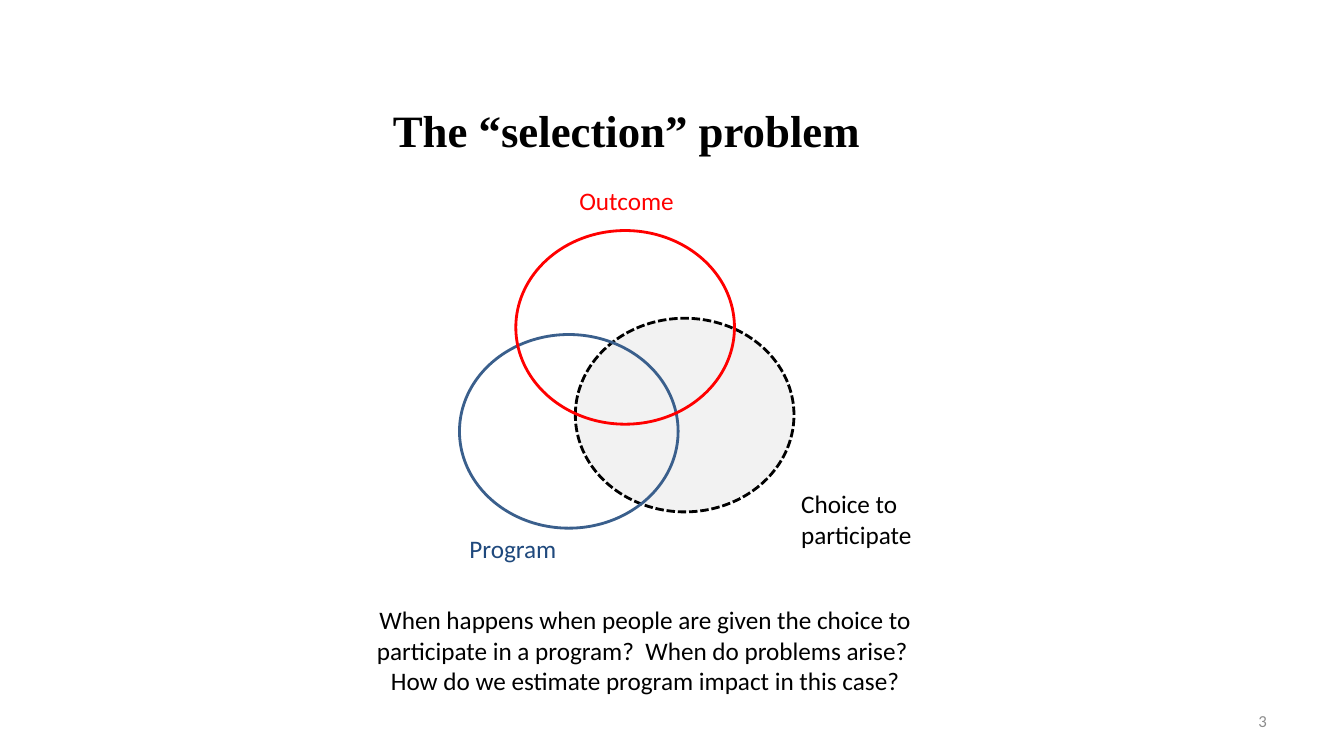
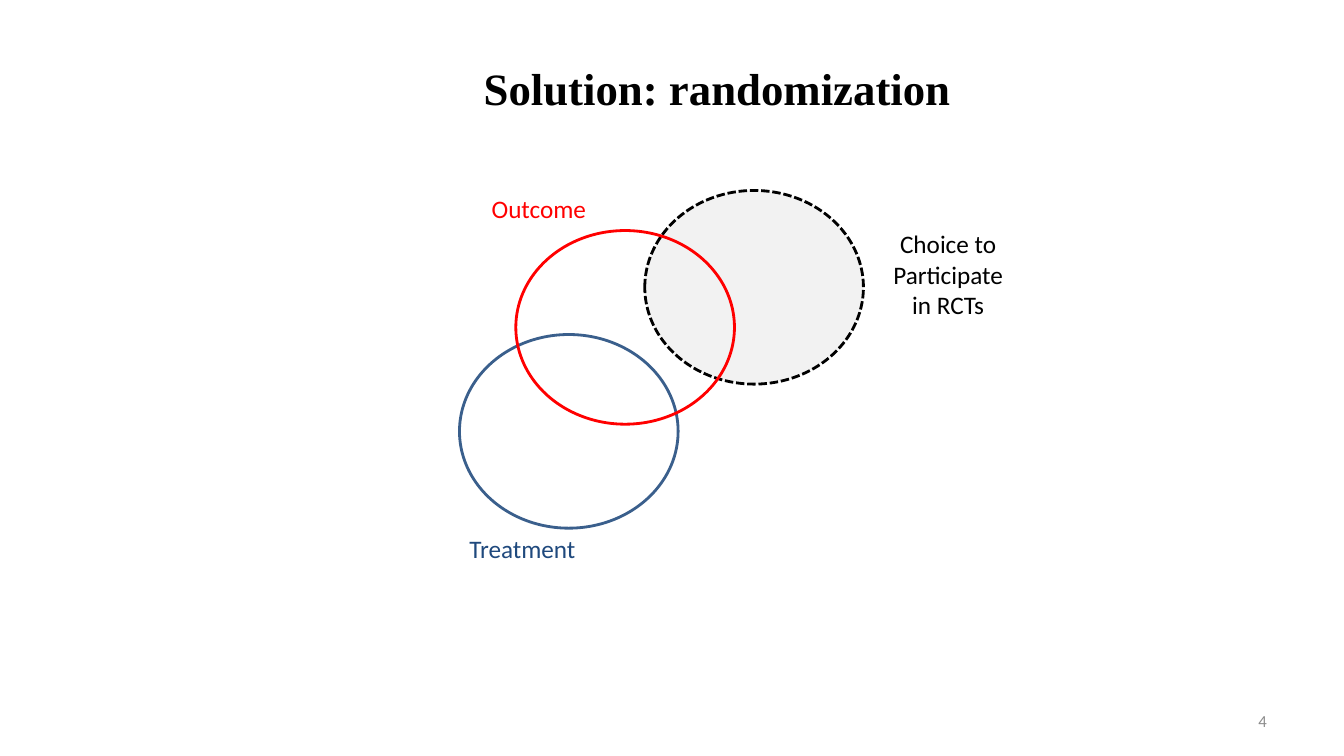
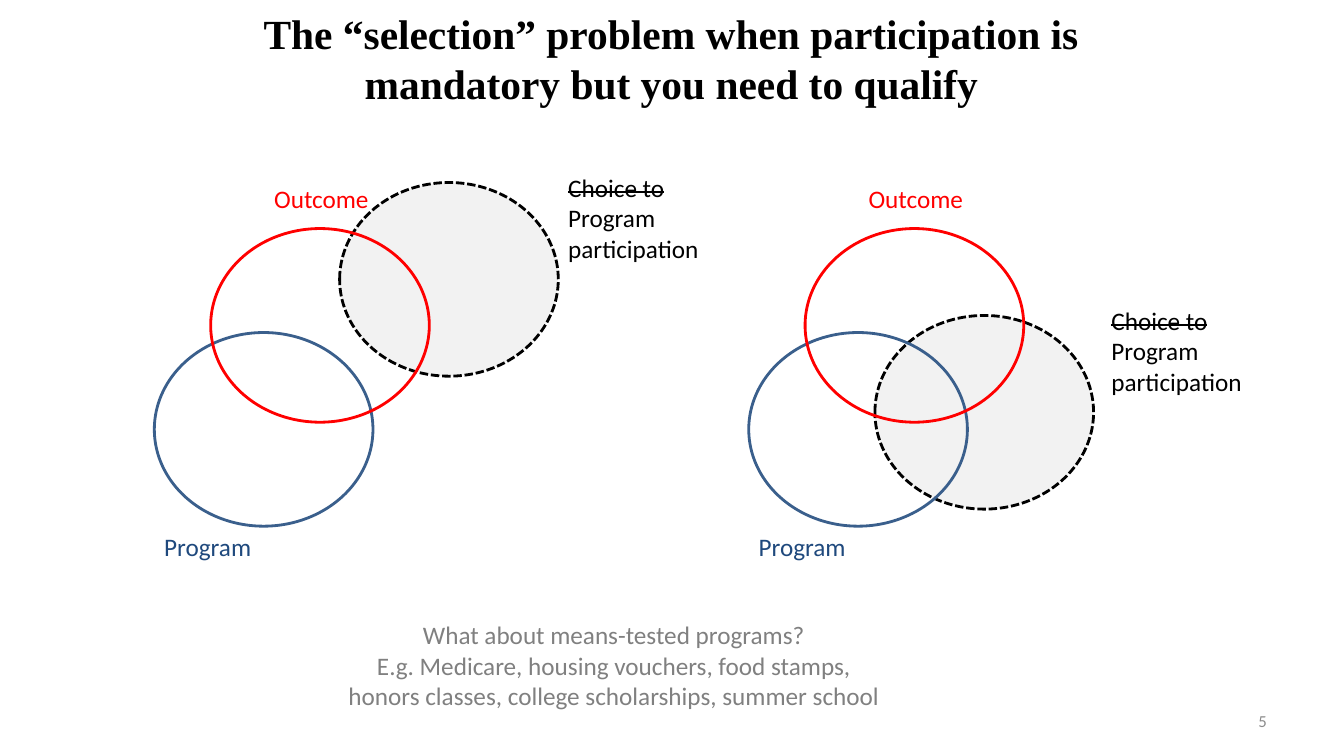
from pptx import Presentation
from pptx.dml.color import RGBColor
from pptx.enum.dml import MSO_LINE
from pptx.enum.shapes import MSO_SHAPE
from pptx.enum.text import MSO_ANCHOR, MSO_AUTO_SIZE, PP_ALIGN
from pptx.util import Cm, Pt

BLACK = RGBColor(0x00, 0x00, 0x00)
RED = RGBColor(0xFF, 0x00, 0x00)
NAVY = RGBColor(0x1F, 0x49, 0x7D)
BLUE = RGBColor(0x3A, 0x5F, 0x8C)
PALE = RGBColor(0xF2, 0xF2, 0xF2)
GRAY = RGBColor(0x80, 0x80, 0x80)
NUMBER_GRAY = RGBColor(0x8C, 0x8C, 0x8C)

BODY_FONT = "Calibri"
TITLE_FONT = "Times New Roman"
CIRCLE_W, CIRCLE_H = 5.51, 4.88
LINE_H = 0.77
OUTCOME_DX, OUTCOME_DY = 1.42, -2.62


def add_text(s, x, y, w, h, text, color=BLACK, size=18, font=BODY_FONT, bold=False,
             align=PP_ALIGN.LEFT, anchor=MSO_ANCHOR.TOP, wrap=True):
    tf = s.shapes.add_textbox(Cm(x), Cm(y), Cm(w), Cm(h)).text_frame
    tf.word_wrap = wrap
    tf.auto_size = MSO_AUTO_SIZE.NONE
    tf.vertical_anchor = anchor
    tf.text = text
    for p in tf.paragraphs:
        p.alignment = align
        for r in p.runs:
            r.font.name = font
            r.font.size = Pt(size)
            r.font.bold = bold
            r.font.color.rgb = color
    return tf


def add_title(s, x, y, w, text, size=32, align=PP_ALIGN.CENTER):
    add_text(s, x, y, w, 2.74, text, size=size, font=TITLE_FONT, bold=True,
             align=align, anchor=MSO_ANCHOR.BOTTOM)


def add_number(s, number):
    add_text(s, 24.28, 17.65, 7.9, 1.02, str(number), NUMBER_GRAY, 12,
             align=PP_ALIGN.RIGHT, anchor=MSO_ANCHOR.MIDDLE)


def add_label(s, x, y, w, text, color=BLACK, align=PP_ALIGN.LEFT):
    h = 0.25 + LINE_H * (text.count("\n") + 1)
    tf = add_text(s, x, y, w, h, text, color, align=align, wrap=False)
    tf.auto_size = MSO_AUTO_SIZE.SHAPE_TO_FIT_TEXT
    return tf


def add_caption(s, x, y, text, color=BLACK):
    add_text(s, x, y, 15.24, 2.57, text, color, align=PP_ALIGN.CENTER)


def add_circle(s, x, y, color, fill=None, dash=None):
    sp = s.shapes.add_shape(MSO_SHAPE.OVAL, Cm(x), Cm(y), Cm(CIRCLE_W), Cm(CIRCLE_H))
    sp.shadow.inherit = False
    if fill is None:
        sp.fill.background()
    else:
        sp.fill.solid()
        sp.fill.fore_color.rgb = fill
    sp.line.color.rgb = color
    sp.line.width = Pt(2)
    if dash is not None:
        sp.line.dash_style = dash


def add_venn(s, x, y, choice, program="Program", program_w=2.72, outcome_label=(2.77, -3.89)):
    add_circle(s, x + choice[0], y + choice[1], BLACK, PALE, MSO_LINE.SQUARE_DOT)
    add_circle(s, x, y, BLUE)
    add_circle(s, x + OUTCOME_DX, y + OUTCOME_DY, RED)
    add_label(s, x, y + CIRCLE_H, program_w, program, NAVY)
    add_label(s, x + outcome_label[0], y + outcome_label[1], 2.92, "Outcome", RED)


def add_struck_label(s, x, y):
    tf = add_label(s, x, y, 3.84, "Choice to\nProgram\nparticipation")
    r = tf.paragraphs[0].runs[0]
    r._r.get_or_add_rPr().set("strike", "sngStrike")


def selection_slide(s):
    add_title(s, 9.65, 1.32, 17.35, "The “selection” problem", align=PP_ALIGN.LEFT)
    add_venn(s, 11.58, 8.43, choice=(2.92, -0.41))
    add_label(s, 19.94, 12.19, 3.33, "Choice to\nparticipate")
    add_caption(s, 8.64, 15.11,
                "When happens when people are given the choice to participate in a program?  "
                "When do problems arise?  How do we estimate program impact in this case?")


def randomization_slide(s):
    add_title(s, 9.4, 0.28, 17.35, "Solution: randomization")
    add_venn(s, 11.58, 8.43, choice=(4.67, -3.63), program="Treatment",
             program_w=3.23, outcome_label=(0.56, -3.68))
    add_label(s, 22.17, 5.64, 3.45, "Choice to\nParticipate\nin RCTs", align=PP_ALIGN.CENTER)


def qualifying_slide(s):
    add_title(s, 4.93, 0.1, 24, "The “selection” problem when participation is "
              "mandatory but you need to qualify", size=29.6)
    add_venn(s, 3.89, 8.38, choice=(4.67, -3.78))
    add_struck_label(s, 14.07, 4.22)
    add_venn(s, 18.87, 8.38, choice=(3.18, -0.43))
    add_struck_label(s, 27.76, 7.57)
    add_caption(s, 7.85, 15.49,
                "What about means-tested programs?\n"
                "E.g. Medicare, housing vouchers, food stamps,\n"
                "honors classes, college scholarships, summer school", GRAY)


def main():
    prs = Presentation()
    prs.slide_width, prs.slide_height = Cm(33.87), Cm(19.05)
    builders = (selection_slide, randomization_slide, qualifying_slide)
    for number, build in enumerate(builders, start=3):
        s = prs.slides.add_slide(prs.slide_layouts[6])
        build(s)
        add_number(s, number)
    prs.save("out.pptx")


if __name__ == "__main__":
    main()
